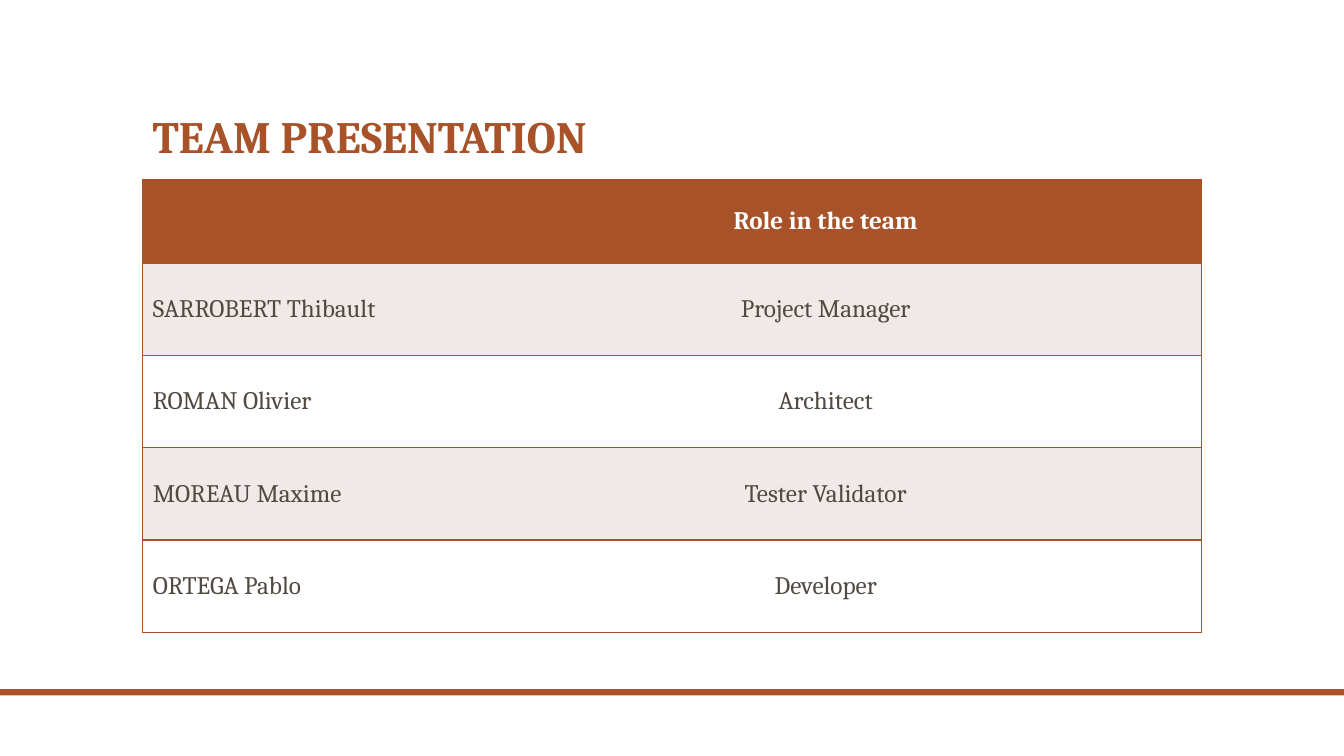
import pptx
import pptx.util
import pptx.dml.color
import pptx.enum.shapes
import pptx.enum.text
from lxml import etree

Pt = pptx.util.Pt
ALIGN = pptx.enum.text.PP_ALIGN
ANCHOR = pptx.enum.text.MSO_ANCHOR
NS = "http://schemas.openxmlformats.org/drawingml/2006/main"
RUST, PINK, WHITE, BROWN = "A85229", "F1E9E8", "FFFFFF", "514A40"


def rgb(color):
    return pptx.dml.color.RGBColor.from_string(color)


def write(tf, text, size=18, color=BROWN, bold=False, align=ALIGN.LEFT, spacing=None):
    p = tf.paragraphs[0]
    p.alignment = align
    p.line_spacing = spacing
    r = p.add_run()
    r.text = text
    r.font.name = "Cambria"
    r.font.size = Pt(size)
    r.font.bold = bold
    r.font.color.rgb = rgb(color)


prs = pptx.Presentation()
prs.slide_width, prs.slide_height = Pt(960), Pt(540)
s = prs.slides.add_slide(prs.slide_layouts[6])

# Footer bar
bar = s.shapes.add_shape(pptx.enum.shapes.MSO_SHAPE.RECTANGLE, 0, Pt(492.2), Pt(960), Pt(4.6))
bar.shadow.inherit = False
bar.fill.solid()
bar.fill.fore_color.rgb = rgb(RUST)
bar.line.fill.background()

# Title
sp = s.shapes.add_textbox(Pt(102), Pt(30), Pt(756), Pt(90))
tf = sp.text_frame
tf.word_wrap = True
tf.vertical_anchor = ANCHOR.BOTTOM
write(tf, "TEAM PRESENTATION", size=32, color=RUST, bold=True, spacing=0.9)

# Team table
rows = [
    ("", "Role in the team"),
    ("SARROBERT Thibault", "Project Manager"),
    ("ROMAN Olivier", "Architect"),
    ("MOREAU Maxime", "Tester Validator"),
    ("ORTEGA Pablo", "Developer"),
]
table = s.shapes.add_table(len(rows), 2, Pt(102), Pt(128.6), Pt(756), Pt(323.2)).table
table.columns[0].width, table.columns[1].width = Pt(219.6), Pt(536.4)

for i, row in enumerate(rows):
    header = i == 0
    table.rows[i].height = Pt(59.2 if header else 66)
    for j, text in enumerate(row):
        cell = table.cell(i, j)
        cell.vertical_anchor = ANCHOR.MIDDLE

        # Rust borders everywhere except between the two columns
        inner = "lnR" if j == 0 else "lnL"
        for side in ("lnL", "lnR", "lnT", "lnB"):
            ln = etree.SubElement(cell._tc.get_or_add_tcPr(), f"{{{NS}}}{side}", w=str(Pt(1)))
            if side == inner:
                etree.SubElement(ln, f"{{{NS}}}noFill")
            else:
                fill = etree.SubElement(ln, f"{{{NS}}}solidFill")
                etree.SubElement(fill, f"{{{NS}}}srgbClr", val=RUST)

        cell.fill.solid()
        cell.fill.fore_color.rgb = rgb(RUST if header else PINK if i % 2 else WHITE)
        if text:
            write(cell.text_frame, text, color=WHITE if header else BROWN, bold=header,
                  align=ALIGN.CENTER if j else ALIGN.LEFT)

prs.save("out.pptx")
